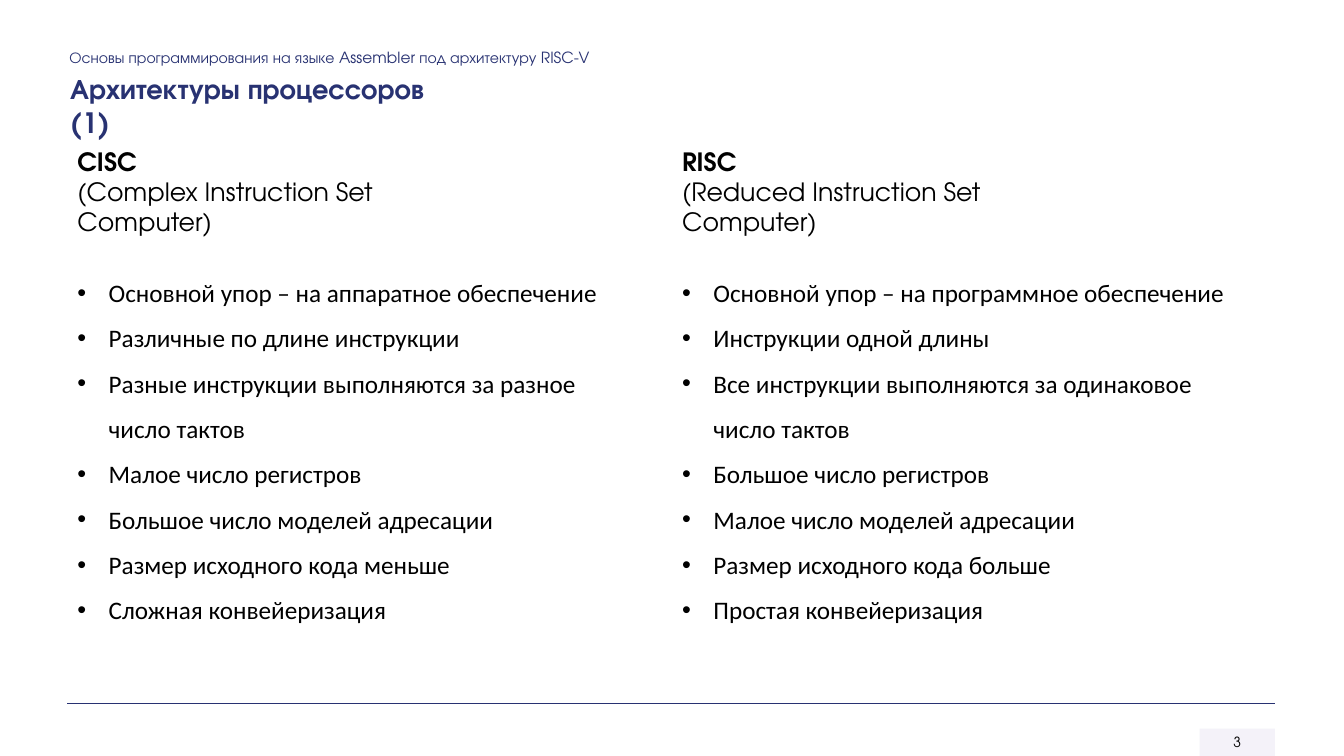
from dataclasses import dataclass

from lxml import etree
from pptx import Presentation
from pptx.dml.color import RGBColor
from pptx.enum.shapes import MSO_CONNECTOR, MSO_SHAPE
from pptx.enum.text import MSO_ANCHOR, MSO_AUTO_SIZE, PP_ALIGN
from pptx.oxml.ns import qn
from pptx.slide import Slide
from pptx.text.text import TextFrame, _Paragraph
from pptx.util import Cm, Pt

STRAIGHT = MSO_CONNECTOR.STRAIGHT
RECTANGLE = MSO_SHAPE.RECTANGLE
MIDDLE = MSO_ANCHOR.MIDDLE
GROW = MSO_AUTO_SIZE.SHAPE_TO_FIT_TEXT
CENTER = PP_ALIGN.CENTER

COLORS = {"navy": "283272", "black": "000000", "lilac": "F3F1F9"}
HEADING_FONT = "TeX Gyre Adventor"
BODY_FONT = "Calibri"
BULLET_INDENT = Cm(0.79)


@dataclass
class Style:
    font: str
    size: int
    color: str = "black"
    bold: bool = False


@dataclass
class Column:
    left: float
    heading_width: float
    list_width: float
    acronym: str
    meaning: str
    features: list[str]


COURSE_STYLE = Style(HEADING_FONT, 11, "navy")
TITLE_STYLE = Style(HEADING_FONT, 20, "navy", True)
ACRONYM_STYLE = Style(HEADING_FONT, 18, bold=True)
MEANING_STYLE = Style(HEADING_FONT, 18)
FEATURE_STYLE = Style(BODY_FONT, 18)
NUMBER_STYLE = Style(HEADING_FONT, 10)

COLUMNS = [
    Column(1.7, 10.03, 14.02, "CISC", "(Complex Instruction Set Computer)", [
        "Основной упор – на аппаратное обеспечение",
        "Различные по длине инструкции",
        "Разные инструкции выполняются за разное число тактов",
        "Малое число регистров",
        "Большое число моделей адресации",
        "Размер исходного кода меньше",
        "Сложная конвейеризация",
    ]),
    Column(16.94, 9.88, 14.38, "RISC", "(Reduced Instruction Set Computer)", [
        "Основной упор – на программное обеспечение",
        "Инструкции одной длины",
        "Все инструкции выполняются за одинаковое число тактов",
        "Большое число регистров",
        "Малое число моделей адресации",
        "Размер исходного кода больше",
        "Простая конвейеризация",
    ]),
]


def color(name: str) -> RGBColor:
    return RGBColor.from_string(COLORS[name])


def write_lines(text_frame: TextFrame, lines: list[tuple[str, Style]]) -> None:
    text_frame.text = "\n".join(text for text, _ in lines)
    for paragraph, (_, style) in zip(text_frame.paragraphs, lines):
        for run in paragraph.runs:
            run.font.name = style.font
            run.font.size = Pt(style.size)
            run.font.bold = style.bold
            run.font.color.rgb = color(style.color)


def add_text(slide: Slide, left: float, top: float, width: float, height: float,
             lines: list[tuple[str, Style]]) -> TextFrame:
    text_box = slide.shapes.add_textbox(Cm(left), Cm(top), Cm(width), Cm(height))
    text_frame = text_box.text_frame
    text_frame.word_wrap = True
    text_frame.auto_size = GROW
    write_lines(text_frame, lines)
    return text_frame


def add_bullet(paragraph: _Paragraph) -> None:
    properties = paragraph._p.get_or_add_pPr()
    properties.set("marL", str(BULLET_INDENT))
    properties.set("indent", str(-BULLET_INDENT))
    etree.SubElement(properties, qn("a:buFont")).set("typeface", "Arial")
    etree.SubElement(properties, qn("a:buChar")).set("char", "•")
    paragraph.line_spacing = 1.5


def add_column(slide: Slide, column: Column) -> None:
    add_text(slide, column.left, 3.56, column.heading_width, 1.8,
             [(column.acronym, ACRONYM_STYLE), (column.meaning, MEANING_STYLE)])
    features = add_text(slide, column.left, 6.48, column.list_width, 9.37,
                        [(feature, FEATURE_STYLE) for feature in column.features])
    for paragraph in features.paragraphs:
        add_bullet(paragraph)


def add_footer(slide: Slide) -> None:
    number = slide.shapes.add_shape(RECTANGLE, Cm(30.23), Cm(18.36), Cm(1.9), Cm(0.69))
    number.shadow.inherit = False
    number.fill.solid()
    number.fill.fore_color.rgb = color("lilac")
    fill_color = number.fill._xPr.find(qn("a:solidFill"))[0]
    etree.SubElement(fill_color, qn("a:alpha")).set("val", "90000")
    number.line.fill.background()
    number.text_frame.vertical_anchor = MIDDLE
    write_lines(number.text_frame, [("3", NUMBER_STYLE)])
    number.text_frame.paragraphs[0].alignment = CENTER

    rule = slide.shapes.add_connector(STRAIGHT, Cm(1.7), Cm(17.73), Cm(32.13), Cm(17.73))
    rule.line.color.rgb = color("navy")
    rule.line.width = Pt(1)
    etree.SubElement(rule._element.spPr, qn("a:effectLst"))


def main() -> None:
    presentation = Presentation()
    presentation.slide_width = Cm(33.87)
    presentation.slide_height = Cm(19.05)
    slide = presentation.slides.add_slide(presentation.slide_layouts[6])

    # Page number and rule
    add_footer(slide)

    # Course name and slide title
    add_text(slide, 1.5, 1.09, 26.01, 0.74, [
        ("Основы программирования на языке Assembler под архитектуру RISC-V", COURSE_STYLE)])
    add_text(slide, 1.52, 1.68, 9.65, 1.12, [("Архитектуры процессоров (1)", TITLE_STYLE)])

    # Comparison of the two architectures
    for column in COLUMNS:
        add_column(slide, column)

    presentation.save("out.pptx")


if __name__ == "__main__":
    main()
